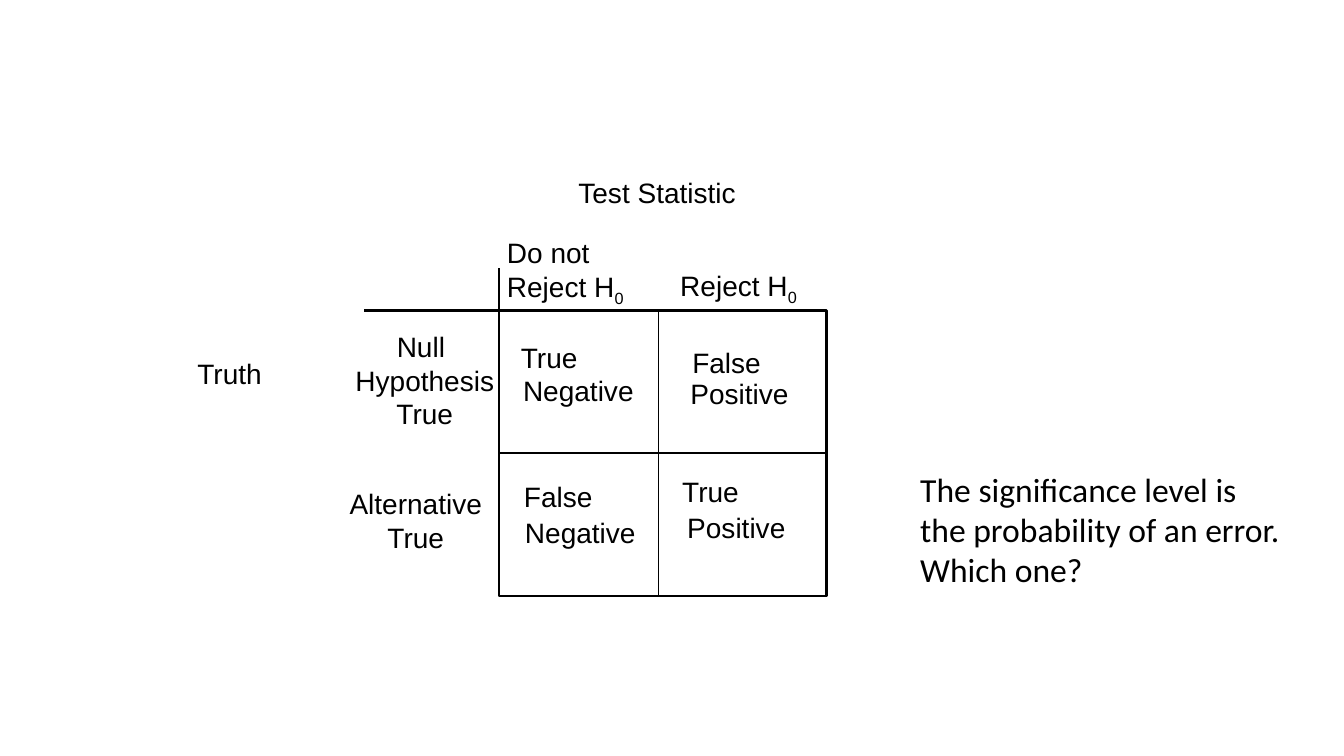
from dataclasses import dataclass

import pptx
import pptx.dml.color
import pptx.enum.shapes
import pptx.enum.text
import pptx.oxml.xmlchemy
import pptx.slide
import pptx.util

COLORS = {"ink": "000000"}
LEFT, TOP, WIDTH, HEIGHT = 356.4, 221.8, 234, 203.8
DIVIDER_X = 470.2
WORD_WIDTH, FIRST_HEIGHT, SECOND_HEIGHT = 98, 46.8, 62.6
SECOND_INSET = 26.6


@dataclass
class Label:
    text: str
    x: float
    y: float
    w: float
    h: float
    centered: bool = False
    size: float = 20
    font: str = "Arial"


@dataclass
class Outcome:
    """A cell's two words, each with its own left and top."""
    first: str
    first_at: tuple[float, float]
    second: str
    second_at: tuple[float, float]


@dataclass
class Rule:
    x1: float
    y1: float
    x2: float
    y2: float
    weight: float


LABELS = [
    Label("Do not\nReject H_0", 355, 164.9, 99.4, 55.4),
    Label("Reject H_0", 478.8, 187.9, 99.4, 31.7),
    Label("Test Statistic", 406.1, 121.7, 127.4, 31.7),
    Label("Null \nHypothesis\nTrue", 246.2, 231.8, 114.5, 79.9, centered=True),
    Label("Truth", 133.9, 251.3, 61.2, 31.7),
    Label("Alternative\nTrue", 241.9, 344.2, 110.2, 55.4, centered=True),
    Label("The significance level is\nthe probability of an error.\nWhich one?",
          650.2, 331.2, 284.4, 94.3, size=24, font="Calibri"),
]

OUTCOMES = [
    Outcome("True", (365, 231.8), "Negative", (366.5, 236.2)),
    Outcome("False", (487.4, 235.4), "Positive", (486, 238.3)),
    Outcome("False", (367.2, 331.2), "Negative", (367.9, 337.7)),
    Outcome("True", (480.2, 327.6), "Positive", (483.8, 334.1)),
]

RULES = [
    Rule(DIVIDER_X, TOP, DIVIDER_X, TOP + HEIGHT, 1),
    Rule(LEFT, TOP, 259.9, TOP, 1.5),
    Rule(LEFT, TOP, LEFT, 191.5, 1.5),
]


def rgb(name: str) -> pptx.dml.color.RGBColor:
    return pptx.dml.color.RGBColor.from_string(COLORS[name])


def points(*lengths: float) -> list[pptx.util.Length]:
    return [pptx.util.Pt(length) for length in lengths]


def add_text(s: pptx.slide.Slide, text: str, x: float, y: float, w: float, h: float, *,
             size: float = 20, font: str = "Arial", centered: bool = False,
             middle: bool = False, wrap: bool = False, inset: float = 3.6) -> None:
    """Add a text box; a newline starts a paragraph, an underscore a subscript."""
    tf = s.shapes.add_textbox(*points(x, y, w, h)).text_frame
    tf.word_wrap = wrap
    tf.margin_top = pptx.util.Pt(inset)
    if middle:
        tf.vertical_anchor = pptx.enum.text.MSO_ANCHOR.MIDDLE
    else:
        tf.auto_size = pptx.enum.text.MSO_AUTO_SIZE.SHAPE_TO_FIT_TEXT
    for i, line in enumerate(text.split("\n")):
        p = tf.add_paragraph() if i else tf.paragraphs[0]
        if centered:
            p.alignment = pptx.enum.text.PP_ALIGN.CENTER
        for j, part in enumerate(line.split("_")):
            r = p.add_run()
            r.text = part
            r.font.size, r.font.name = pptx.util.Pt(size), font
            r.font.color.rgb = rgb("ink")
            if j:
                r.font._element.set("baseline", "-25000")


def add_outcome(s: pptx.slide.Slide, cell: Outcome) -> None:
    add_text(s, cell.first, *cell.first_at, WORD_WIDTH, FIRST_HEIGHT,
             middle=True, wrap=True)
    add_text(s, cell.second, *cell.second_at, WORD_WIDTH, SECOND_HEIGHT,
             middle=True, wrap=True, inset=SECOND_INSET)


def add_rule(s: pptx.slide.Slide, rule: Rule):
    c = s.shapes.add_connector(pptx.enum.shapes.MSO_CONNECTOR.STRAIGHT,
                               *points(rule.x1, rule.y1, rule.x2, rule.y2))
    c.line.color.rgb = rgb("ink")
    c.line.width = pptx.util.Pt(rule.weight)
    c._element.spPr.append(pptx.oxml.xmlchemy.OxmlElement("a:effectLst"))
    return c


def add_grid(s: pptx.slide.Slide) -> None:
    sp = s.shapes.add_shape(pptx.enum.shapes.MSO_SHAPE.RECTANGLE,
                            *points(LEFT, TOP, WIDTH, HEIGHT))
    sp.shadow.inherit = False
    sp.fill.background()
    sp.line.color.rgb = rgb("ink")
    sp.line.width = pptx.util.Pt(1.5)
    middle = TOP + HEIGHT / 2
    row_rule = add_rule(s, Rule(LEFT, middle, LEFT + WIDTH, middle, 1))
    row_rule.begin_connect(sp, 1)
    row_rule.end_connect(sp, 3)
    for rule in RULES:
        add_rule(s, rule)


def main() -> None:
    prs = pptx.Presentation()
    prs.slide_width, prs.slide_height = points(960, 540)
    s = prs.slides.add_slide(prs.slide_layouts[6])
    add_grid(s)
    for label in LABELS:
        add_text(s, label.text, label.x, label.y, label.w, label.h,
                 size=label.size, font=label.font, centered=label.centered)
    for cell in OUTCOMES:
        add_outcome(s, cell)
    prs.save("out.pptx")


if __name__ == "__main__":
    main()
